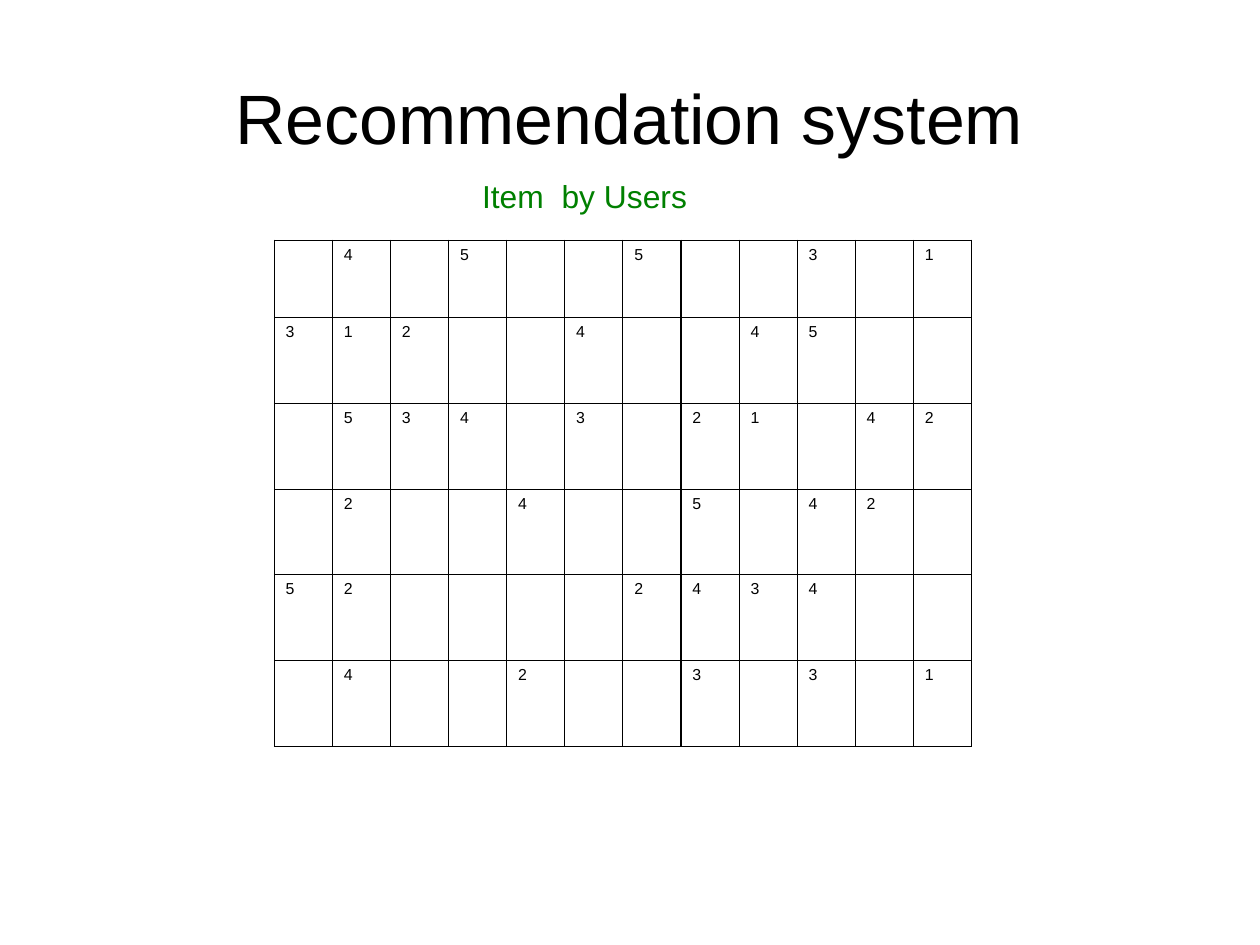
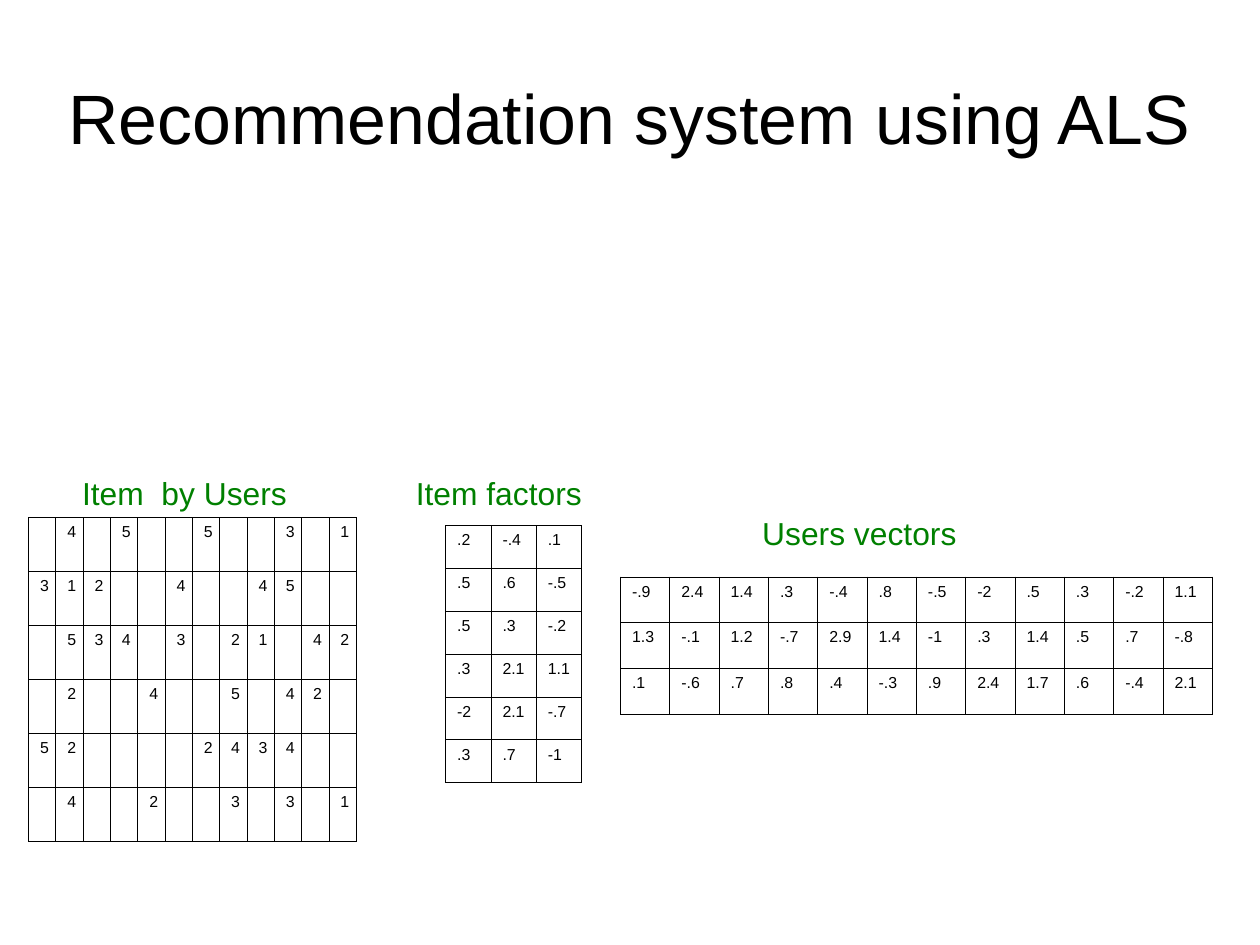
from lxml.etree import SubElement
from pptx import Presentation
from pptx.dml.color import RGBColor
from pptx.enum.text import MSO_ANCHOR, PP_ALIGN
from pptx.oxml.ns import qn
from pptx.util import Inches, Pt

COLORS = {"text": "000000", "label": "008000", "border": "000000"}
FONT = "Arial"
BORDER_WIDTH = Pt(0.75)
TITLE_ONLY = 5
CM_PER_INCH = 2.54

# Matrices: one string per row, "_" marks an empty cell
RATINGS = [
    "_ 4 _ 5 _ _ 5 _ _ 3 _ 1",
    "3 1 2 _ _ 4 _ _ 4 5 _ _",
    "_ 5 3 4 _ 3 _ 2 1 _ 4 2",
    "_ 2 _ _ 4 _ _ 5 _ 4 2 _",
    "5 2 _ _ _ _ 2 4 3 4 _ _",
    "_ 4 _ _ 2 _ _ 3 _ 3 _ 1",
]
ITEM_FACTORS = [
    ".2 -.4 .1",
    ".5 .6 -.5",
    ".5 .3 -.2",
    ".3 2.1 1.1",
    "-2 2.1 -.7",
    ".3 .7 -1",
]
USER_VECTORS = [
    "-.9 2.4 1.4 .3 -.4 .8 -.5 -2 .5 .3 -.2 1.1",
    "1.3 -.1 1.2 -.7 2.9 1.4 -1 .3 1.4 .5 .7 -.8",
    ".1 -.6 .7 .8 .4 -.3 .9 2.4 1.7 .6 -.4 2.1",
]

# Each matrix: values, left, top, width, row heights
# Each label: text, left, top, width
SLIDES = [
    {
        "title": "Recommendation system",
        "matrices": [(RATINGS, 2.4, 2.1, 6.1, [0.68] + [0.75] * 5)],
        "labels": [("Item  by Users", 4.12, 1.5, 2.1)],
    },
    {
        "title": "Recommendation system using ALS ",
        "matrices": [
            (RATINGS, 0.25, 4.53, 2.87, [2.83 / 6] * 6),
            (ITEM_FACTORS, 3.9, 4.6, 1.19, [2.25 / 6] * 6),
            (USER_VECTORS, 5.43, 5.05, 5.18, [0.4] * 3),
        ],
        "labels": [
            ("Item  by Users", 0.62, 4.1, 2.1),
            ("Item factors", 3.54, 4.1, 1.7),
            ("Users vectors", 6.57, 4.45, 2),
        ],
    },
]


def write(frame, text, size, color="text", align=PP_ALIGN.LEFT,
          anchor=MSO_ANCHOR.TOP, wrap=True, inset=None):
    """Put one formatted paragraph into a text frame."""
    frame.word_wrap = wrap
    frame.vertical_anchor = anchor
    if inset is not None:
        frame.margin_left = frame.margin_right = Inches(inset)
        frame.margin_top = frame.margin_bottom = Inches(inset)
    paragraph = frame.paragraphs[0]
    paragraph.alignment = align
    run = paragraph.add_run()
    run.text = text
    run.font.size = Pt(size)
    run.font.name = FONT
    run.font.color.rgb = RGBColor.from_string(COLORS[color])


def add_matrix(slide, values, left, top, width, row_heights):
    """Draw a ruled matrix with equal columns."""
    rows = [line.split() for line in values]
    column_count = len(rows[0])
    matrix = slide.shapes.add_table(
        len(rows), column_count, Inches(left), Inches(top),
        Inches(width), Inches(sum(row_heights))).table
    matrix.first_row = matrix.horz_banding = False
    for column in matrix.columns:
        column.width = Inches(width / column_count)
    for row, height, entries in zip(matrix.rows, row_heights, rows):
        row.height = Inches(height)
        for cell, entry in zip(row.cells, entries):
            cell.margin_right = 0
            if entry != "_":
                write(cell.text_frame, entry, size=10)
            # Cell borders come before the fill in the XML
            properties = cell._tc.get_or_add_tcPr()
            for side in ("a:lnL", "a:lnR", "a:lnT", "a:lnB"):
                border = SubElement(properties, qn(side), w=str(BORDER_WIDTH))
                fill = SubElement(border, qn("a:solidFill"))
                SubElement(fill, qn("a:srgbClr"), val=COLORS["border"])
            cell.fill.background()


# Page of 28 by 21 cm
presentation = Presentation()
presentation.slide_width = Inches(28 / CM_PER_INCH)
presentation.slide_height = Inches(21 / CM_PER_INCH)

for content in SLIDES:
    slide = presentation.slides.add_slide(presentation.slide_layouts[TITLE_ONLY])

    # Title
    title = slide.shapes.title
    title.left, title.top = Inches(0.55), Inches(0.33)
    title.width, title.height = Inches(9.92), Inches(1.38)
    write(title.text_frame, content["title"], size=44, align=PP_ALIGN.CENTER,
          anchor=MSO_ANCHOR.MIDDLE, inset=0)

    # Matrices
    for matrix_data in content["matrices"]:
        add_matrix(slide, *matrix_data)

    # Matrix labels
    for text, left, top, width in content["labels"]:
        label = slide.shapes.add_textbox(
            Inches(left), Inches(top), Inches(width), Inches(0.43))
        write(label.text_frame, text, size=20, color="label", wrap=False)

presentation.save("out.pptx")
